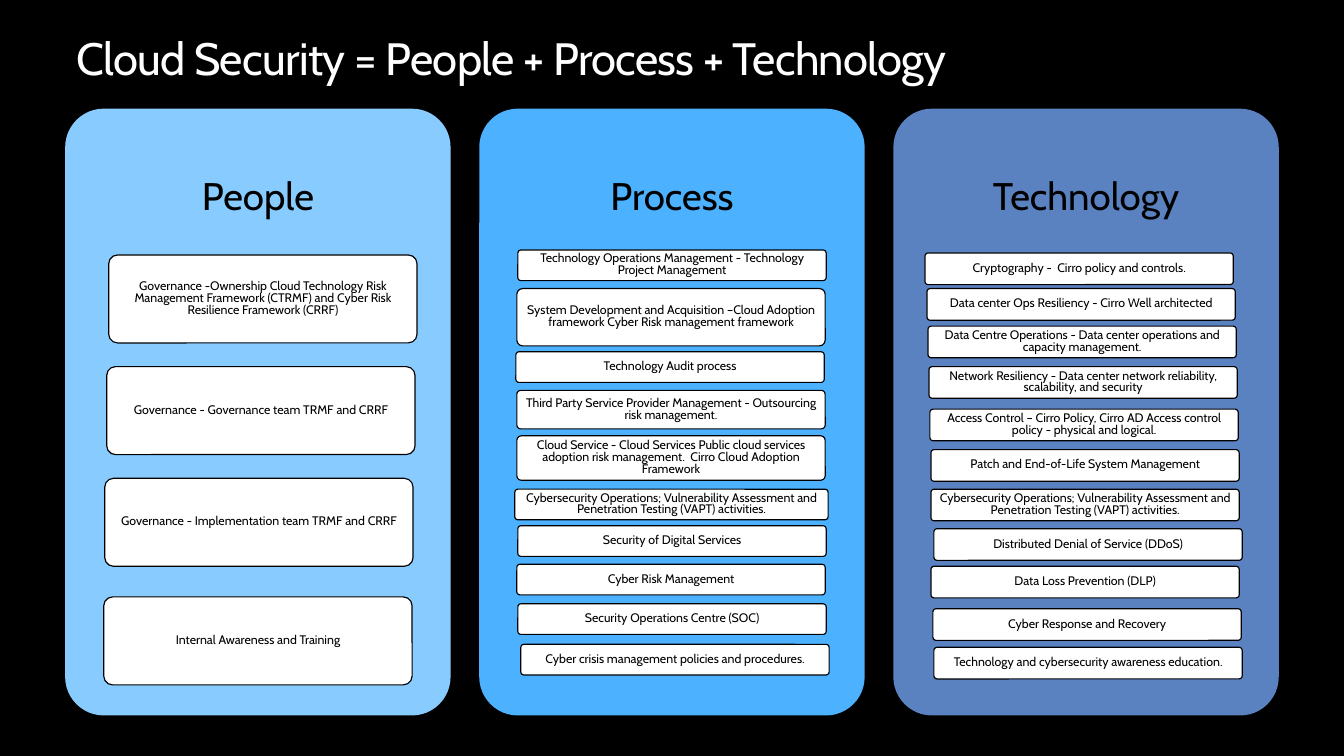
from pptx import Presentation
from pptx.dml.color import RGBColor
from pptx.enum.shapes import MSO_SHAPE
from pptx.enum.text import MSO_ANCHOR, PP_ALIGN
from pptx.util import Pt

PX = 9144  # 100 px to the inch
ROUNDED = MSO_SHAPE.ROUNDED_RECTANGLE
MIDDLE, TOP = MSO_ANCHOR.MIDDLE, MSO_ANCHOR.TOP
CENTER, LEFT = PP_ALIGN.CENTER, PP_ALIGN.LEFT
BLACK = RGBColor(0x00, 0x00, 0x00)
WHITE = RGBColor(0xFF, 0xFF, 0xFF)
SKY = RGBColor(0x88, 0xCB, 0xFF)
AZURE_BLUE = RGBColor(0x4C, 0xB1, 0xFF)
SLATE = RGBColor(0x5A, 0x81, 0xC0)

TITLE_BOX = (77, 31, 1173, 58)
PANEL_X, PANEL_Y, PANEL_STEP = 66, 110, 419
PANEL_W, PANEL_H, HEADING_H = 390, 614, 184
CARD_W = 312

# Cards: x and y inside the panel, text, then height and width where they differ
PANELS = [
    ("People", SKY, 89, [
        (44, 148, "Governance -Ownership Cloud Technology Risk Management Framework "
                  "(CTRMF) and Cyber Risk Resilience Framework (CRRF)"),
        (42, 261, "Governance - Governance team TRMF and CRRF"),
        (40, 374, "Governance - Implementation team TRMF and CRRF"),
        (39, 494, "Internal Awareness and Training"),
    ]),
    ("Process", AZURE_BLUE, 31, [
        (39, 143, "Technology Operations Management - Technology Project Management"),
        (38, 182, "System Development and Acquisition –Cloud Adoption framework "
                  "Cyber Risk management framework", 58),
        (37, 246, "Technology Audit process"),
        (38, 285, "Third Party Service Provider Management - Outsourcing "
                  "risk management.", 39),
        (38, 331, "Cloud Service - Cloud Services Public cloud services adoption "
                  "risk management.  Cirro Cloud Adoption Framework", 45),
        (36, 385, "Cybersecurity Operations; Vulnerability Assessment and "
                  "Penetration Testing (VAPT) activities.", 31, 317),
        (39, 422, "Security of Digital Services"),
        (38, 461, "Cyber Risk Management"),
        (39, 501, "Security Operations Centre (SOC)"),
        (42, 542, "Cyber crisis management policies and procedures."),
    ]),
    ("Technology", SLATE, 32, [
        (32, 146, "Cryptography -  Cirro policy and controls."),
        (34, 182, "Data center Ops Resiliency - Cirro Well architected"),
        (35, 220, "Data Centre Operations - Data center operations and "
                  "capacity management."),
        (36, 261, "Network Resiliency - Data center network reliability, "
                  "scalability, and security"),
        (37, 304, "Access Control – Cirro Policy, Cirro AD Access control policy "
                  "- physical and logical."),
        (38, 345, "Patch and End-of-Life System Management"),
        (38, 385, "Cybersecurity Operations; Vulnerability Assessment and "
                  "Penetration Testing (VAPT) activities."),
        (41, 425, "Distributed Denial of Service (DDoS)"),
        (38, 463, "Data Loss Prevention (DLP)"),
        (40, 506, "Cyber Response and Recovery"),
        (41, 545, "Technology and cybersecurity awareness education."),
    ]),
]


def emu(*lengths):
    return [length * PX for length in lengths]


def write(sp, text, size, color=BLACK, inset=(0, 0), anchor=MIDDLE,
          align=CENTER, spacing=0.8):
    tf = sp.text_frame
    dx, dy = emu(*inset)
    frame = {"word_wrap": True, "vertical_anchor": anchor, "margin_left": dx,
             "margin_right": dx, "margin_top": dy, "margin_bottom": dy}
    for name, value in frame.items():
        setattr(tf, name, value)
    p = tf.paragraphs[0]
    p.alignment, p.line_spacing = align, spacing
    r = p.add_run()
    r.text = text
    r.font.name, r.font.size = "Cabin", Pt(size)
    r.font.color.rgb = color
    return r


def add_rounded(shapes, box, fill):
    sp = shapes.add_shape(ROUNDED, *emu(*box))
    sp.adjustments[0] = 0.1
    sp.shadow.inherit = False
    sp.fill.solid()
    sp.fill.fore_color.rgb = fill
    sp.line.fill.background()
    return sp


def add_title(s, box, text):
    sp = s.shapes.add_textbox(*emu(*box))
    r = write(sp, text, 33, WHITE, anchor=TOP, align=LEFT, spacing=1.0)
    r.font._element.set("spc", "-50")


def add_card(shapes, x, y, text, h, w=CARD_W):
    sp = add_rounded(shapes, (x, y, w, h), WHITE)
    sp.line.color.rgb = BLACK
    sp.line.width = Pt(0.85)
    write(sp, text, 9, inset=(3, 2))


def add_panel(s, box, heading, fill, card_h, cards):
    x, y, w, h = box
    shapes = s.shapes.add_group_shape().shapes
    add_rounded(shapes, box, fill)
    sp = shapes.add_textbox(*emu(x, y, w, HEADING_H))
    write(sp, heading, 28, inset=(12, 12))
    for dx, dy, text, *size in cards:
        add_card(shapes, x + dx, y + dy, text, *(size or [card_h]))


def main():
    prs = Presentation()
    prs.slide_width, prs.slide_height = emu(1360, 765)
    s = prs.slides.add_slide(prs.slide_layouts[6])
    s.background.fill.solid()
    s.background.fill.fore_color.rgb = BLACK
    add_title(s, TITLE_BOX, "Cloud Security = People + Process + Technology")
    for i, panel in enumerate(PANELS):
        box = (PANEL_X + i * PANEL_STEP, PANEL_Y, PANEL_W, PANEL_H)
        add_panel(s, box, *panel)
    prs.save("out.pptx")


if __name__ == "__main__":
    main()
